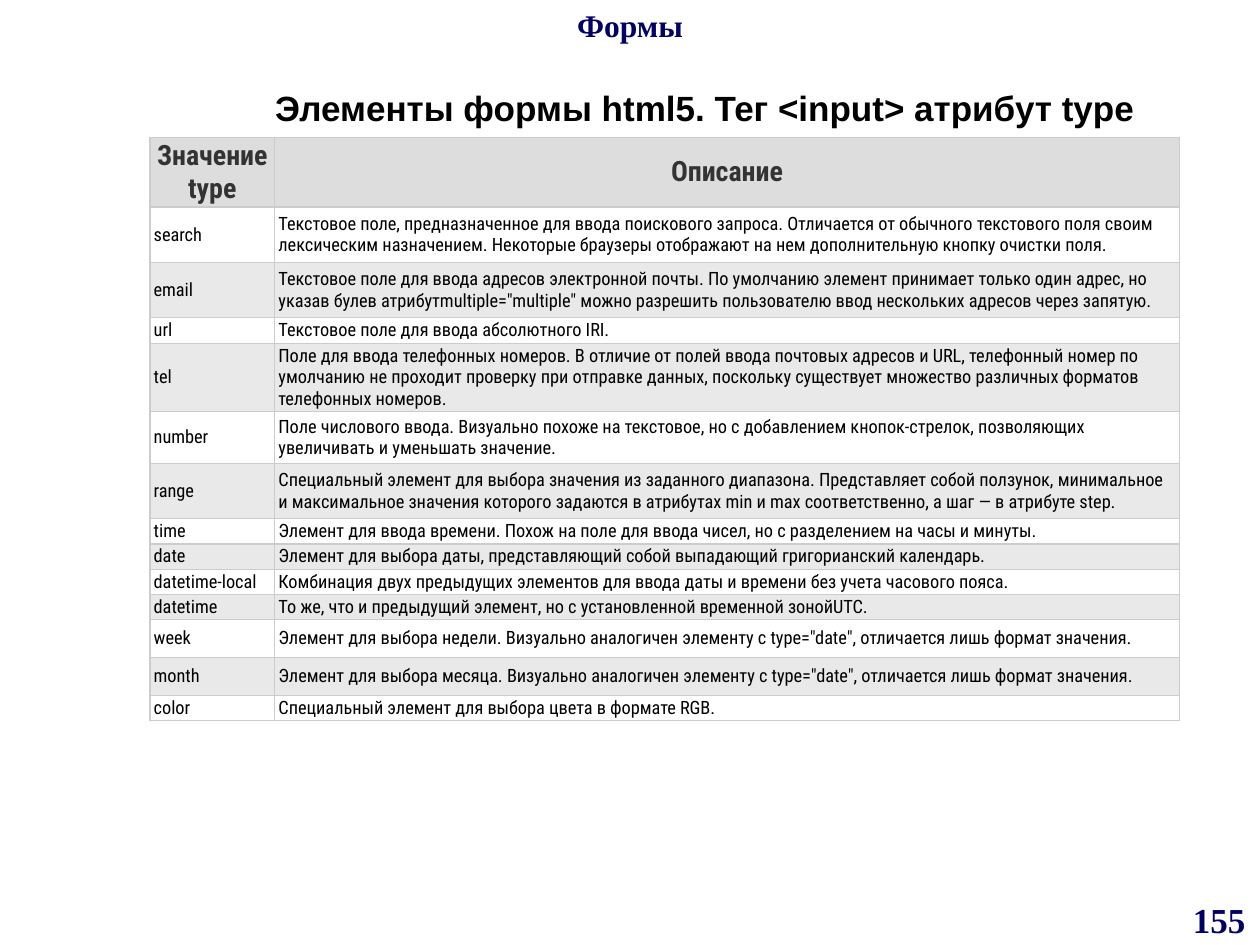
from pptx import Presentation
from pptx.dml.color import RGBColor
from pptx.enum.text import MSO_ANCHOR as Anchor, PP_ALIGN as Align
from pptx.oxml import parse_xml
from pptx.oxml.ns import nsdecls
from pptx.util import Inches, Pt

NAVY = RGBColor(0x00, 0x00, 0x66)
BLACK = RGBColor(0x00, 0x00, 0x00)
CHARCOAL = RGBColor(0x33, 0x33, 0x33)
WHITE = RGBColor(0xFF, 0xFF, 0xFF)
STRIPE = RGBColor(0xE9, 0xE9, 0xE9)
HEADER_FILL = RGBColor(0xDD, 0xDD, 0xDD)
GRID = RGBColor(0xCC, 0xCC, 0xCC)
SERIF, SANS, CONDENSED = "Times New Roman", "Arial", "Roboto Condensed"

COLUMN_WIDTHS = [0.99, 7.18]
HEADINGS = ["Значение type", "Описание"]
HEADING_HEIGHT = 0.55
INPUT_TYPES = [
    ("search", 0.44, "Текстовое поле, предназначенное для ввода поискового запроса. Отличается от обычного текстового поля своим лексическим назначением. Некоторые браузеры отображают на нем дополнительную кнопку очистки поля."),
    ("email", 0.44, "Текстовое поле для ввода адресов электронной почты. По умолчанию элемент принимает только один адрес, но указав булев атрибутmultiple=\"multiple\" можно разрешить пользователю ввод нескольких адресов через запятую."),
    ("url", 0.2, "Текстовое поле для ввода абсолютного IRI."),
    ("tel", 0.53, "Поле для ввода телефонных номеров. В отличие от полей ввода почтовых адресов и URL, телефонный номер по умолчанию не проходит проверку при отправке данных, поскольку существует множество различных форматов телефонных номеров."),
    ("number", 0.41, "Поле числового ввода. Визуально похоже на текстовое, но с добавлением кнопок-стрелок, позволяющих увеличивать и уменьшать значение."),
    ("range", 0.44, "Специальный элемент для выбора значения из заданного диапазона. Представляет собой ползунок, минимальное и максимальное значения которого задаются в атрибутах min и max соответственно, а шаг — в атрибуте step."),
    ("time", 0.2, "Элемент для ввода времени. Похож на поле для ввода чисел, но с разделением на часы и минуты."),
    ("date", 0.2, "Элемент для выбора даты, представляющий собой выпадающий григорианский календарь."),
    ("datetime-local", 0.2, "Комбинация двух предыдущих элементов для ввода даты и времени без учета часового пояса."),
    ("datetime", 0.2, "То же, что и предыдущий элемент, но с установленной временной зонойUTC."),
    ("week", 0.3, "Элемент для выбора недели. Визуально аналогичен элементу с type=\"date\", отличается лишь формат значения."),
    ("month", 0.3, "Элемент для выбора месяца. Визуально аналогичен элементу с type=\"date\", отличается лишь формат значения."),
    ("color", 0.2, "Специальный элемент для выбора цвета в формате RGB."),
]


def write(frame, text, *, font, size, color, bold=False, align=Align.LEFT):
    frame.word_wrap = True
    paragraph = frame.paragraphs[0]
    paragraph.alignment = align
    run = paragraph.add_run()
    run.text = text
    run.font.name = font
    run.font.size = Pt(size)
    run.font.bold = bold
    run.font.color.rgb = color


class SlideBuilder:
    def __init__(self, slide):
        self.slide = slide
        self.heading_style = dict(font=CONDENSED, size=16, color=CHARCOAL,
                                  bold=True, align=Align.CENTER)
        self.body_style = dict(font=CONDENSED, size=10.5, color=BLACK)

    def label(self, text, left, top, width, height, anchor=Anchor.MIDDLE, **style):
        box = self.slide.shapes.add_textbox(
            Inches(left), Inches(top), Inches(width), Inches(height))
        box.text_frame.vertical_anchor = anchor
        write(box.text_frame, text, bold=True, align=Align.CENTER, **style)

    def cell(self, cell, text, fill, style):
        cell.margin_left = cell.margin_right = Inches(0.03)
        cell.margin_top = cell.margin_bottom = Inches(0.01)
        cell.vertical_anchor = Anchor.MIDDLE
        write(cell.text_frame, text, **style)
        properties = cell._tc.get_or_add_tcPr()
        for side in ("lnL", "lnR", "lnT", "lnB"):
            properties.append(parse_xml(
                f'<a:{side} {nsdecls("a")} w="{Pt(0.75)}"><a:solidFill>'
                f'<a:srgbClr val="{GRID}"/></a:solidFill></a:{side}>'))
        cell.fill.solid()
        cell.fill.fore_color.rgb = fill

    def table(self, left, top):
        heights = [HEADING_HEIGHT] + [height for _, height, _ in INPUT_TYPES]
        table = self.slide.shapes.add_table(
            len(heights), len(COLUMN_WIDTHS), Inches(left), Inches(top),
            Inches(sum(COLUMN_WIDTHS)), Inches(sum(heights))).table
        for column, width in zip(table.columns, COLUMN_WIDTHS):
            column.width = Inches(width)
        for row, height in zip(table.rows, heights):
            row.height = Inches(height)
        for column, heading in enumerate(HEADINGS):
            self.cell(table.cell(0, column), heading, HEADER_FILL, self.heading_style)
        for row, (name, _, description) in enumerate(INPUT_TYPES, 1):
            fill = WHITE if row % 2 else STRIPE
            for column, text in enumerate((name, description)):
                self.cell(table.cell(row, column), text, fill, self.body_style)


def main():
    deck = Presentation()
    deck.slide_width, deck.slide_height = Inches(10), Inches(7.5)
    builder = SlideBuilder(deck.slides.add_slide(deck.slide_layouts[6]))
    builder.label("155", 9.35, 7.09, 0.65, 0.41, font=SERIF, size=20, color=NAVY)
    builder.label("Формы", 0, 0, 10, 0.63, Anchor.TOP, font=SERIF, size=18, color=NAVY)
    builder.label("Элементы формы html5. Тег <input> атрибут type",
                  1.43, 0.63, 8.33, 0.45, font=SANS, size=20, color=BLACK)
    builder.table(1.19, 1.09)
    deck.save("out.pptx")


if __name__ == "__main__":
    main()
